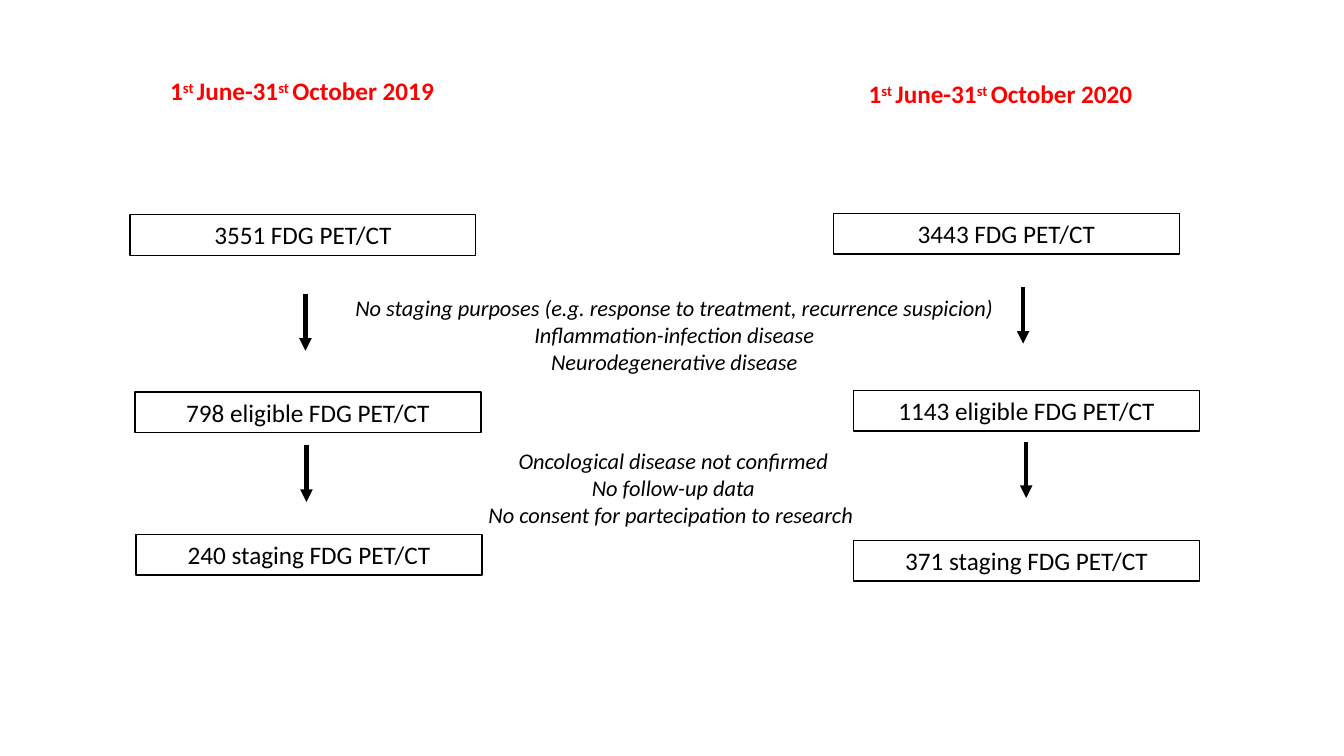
from dataclasses import dataclass

from lxml import etree
from pptx import Presentation
from pptx.dml import color
from pptx.enum import shapes, text
from pptx.oxml import ns
from pptx.util import Pt


@dataclass(frozen=True)
class Theme:
    font: str = "Calibri"
    body_size: float = 18
    reason_size: float = 16
    ink: color.RGBColor = color.RGBColor(0, 0, 0)
    paper: color.RGBColor = color.RGBColor(255, 255, 255)
    accent: color.RGBColor = color.RGBColor(255, 0, 0)
    border: float = 1
    arrow: float = 3


@dataclass(frozen=True)
class Label:
    words: str
    left: float
    top: float


@dataclass(frozen=True)
class Arrow:
    x: float
    top: float


@dataclass(frozen=True)
class Reasons:
    lines: tuple[str, ...]
    left: float
    top: float
    width: float


THEME = Theme()
LINE_HEIGHT = 29.08
COUNT_WIDTH = 247
PERIOD_WIDTH = 221
REASONS_HEIGHT = 65.43
ARROW_LENGTH = 40.3
RAISED_MARK = "^"

PERIODS = (
    Label("1^st ^June-31^st ^October 2019", 114.5, 50.4),
    Label("1^st ^June-31^st ^October 2020", 613.4, 52.6),
)
COUNTS = (
    Label("3551 FDG PET/CT", 92.9, 153.4),
    Label("798 eligible FDG PET/CT", 96.5, 280),
    Label("240 staging FDG PET/CT", 97.2, 381.6),
    Label("3443 FDG PET/CT", 595.4, 152.5),
    Label("1143 eligible FDG PET/CT", 609.8, 278.8),
    Label("371 staging FDG PET/CT", 609.8, 385.9),
)
ARROWS = (
    Arrow(218.2, 210.2),
    Arrow(218.9, 318.2),
    Arrow(730.8, 205.2),
    Arrow(733, 315.4),
)
EXCLUSIONS = (
    Reasons(
        (
            "No staging purposes (e.g. response to treatment, recurrence suspicion)",
            "Inflammation-infection disease",
            "Neurodegenerative disease",
        ),
        231.1, 206.6, 501.1,
    ),
    Reasons(
        (
            "Oncological disease not confirmed",
            "No follow-up data",
            "No consent for partecipation to research ",
        ),
        252, 316.1, 457.9,
    ),
)


def write_text(box, lines: tuple[str, ...], *, size: float = THEME.body_size,
               ink: color.RGBColor = THEME.ink, bold: bool = False,
               italic: bool = False, centred: bool = True) -> None:
    frame = box.text_frame
    frame.word_wrap = True
    frame.auto_size = text.MSO_AUTO_SIZE.SHAPE_TO_FIT_TEXT
    frame.vertical_anchor = text.MSO_ANCHOR.TOP
    for index, line in enumerate(lines):
        para = frame.add_paragraph() if index else frame.paragraphs[0]
        para.alignment = text.PP_ALIGN.CENTER if centred else text.PP_ALIGN.LEFT
        for part, words in enumerate(line.split(RAISED_MARK)):
            span = para.add_run()
            span.text = words
            span.font.name = THEME.font
            span.font.size = Pt(size)
            span.font.bold = bold
            span.font.italic = italic
            span.font.color.rgb = ink
            if part % 2:
                span.font._element.set("baseline", "30000")


def draw_count(page, count: Label) -> None:
    box = page.shapes.add_shape(
        shapes.MSO_SHAPE.RECTANGLE,
        Pt(count.left), Pt(count.top), Pt(COUNT_WIDTH), Pt(LINE_HEIGHT))
    box.shadow.inherit = False
    box.fill.solid()
    box.fill.fore_color.rgb = THEME.paper
    box.line.color.rgb = THEME.ink
    box.line.width = Pt(THEME.border)
    write_text(box, (count.words,))


def draw_period(page, period: Label) -> None:
    box = page.shapes.add_textbox(
        Pt(period.left), Pt(period.top), Pt(PERIOD_WIDTH), Pt(LINE_HEIGHT))
    write_text(box, (period.words,), ink=THEME.accent, bold=True, centred=False)


def draw_reasons(page, reasons: Reasons) -> None:
    box = page.shapes.add_textbox(
        Pt(reasons.left), Pt(reasons.top), Pt(reasons.width), Pt(REASONS_HEIGHT))
    write_text(box, reasons.lines, size=THEME.reason_size, italic=True)


def draw_arrow(page, arrow: Arrow) -> None:
    connector = page.shapes.add_connector(
        shapes.MSO_CONNECTOR.STRAIGHT,
        Pt(arrow.x), Pt(arrow.top), Pt(arrow.x), Pt(arrow.top + ARROW_LENGTH))
    connector.line.color.rgb = THEME.ink
    connector.line.width = Pt(THEME.arrow)
    properties = connector._element.spPr
    outline = properties.find(ns.qn("a:ln"))
    etree.SubElement(outline, ns.qn("a:tailEnd"), type="triangle")
    etree.SubElement(properties, ns.qn("a:effectLst"))


def main() -> None:
    deck = Presentation()
    deck.slide_width = Pt(960)
    deck.slide_height = Pt(540)
    page = deck.slides.add_slide(deck.slide_layouts[6])
    for period in PERIODS:
        draw_period(page, period)
    for count in COUNTS:
        draw_count(page, count)
    for arrow in ARROWS:
        draw_arrow(page, arrow)
    for reasons in EXCLUSIONS:
        draw_reasons(page, reasons)
    deck.save("out.pptx")


if __name__ == "__main__":
    main()
